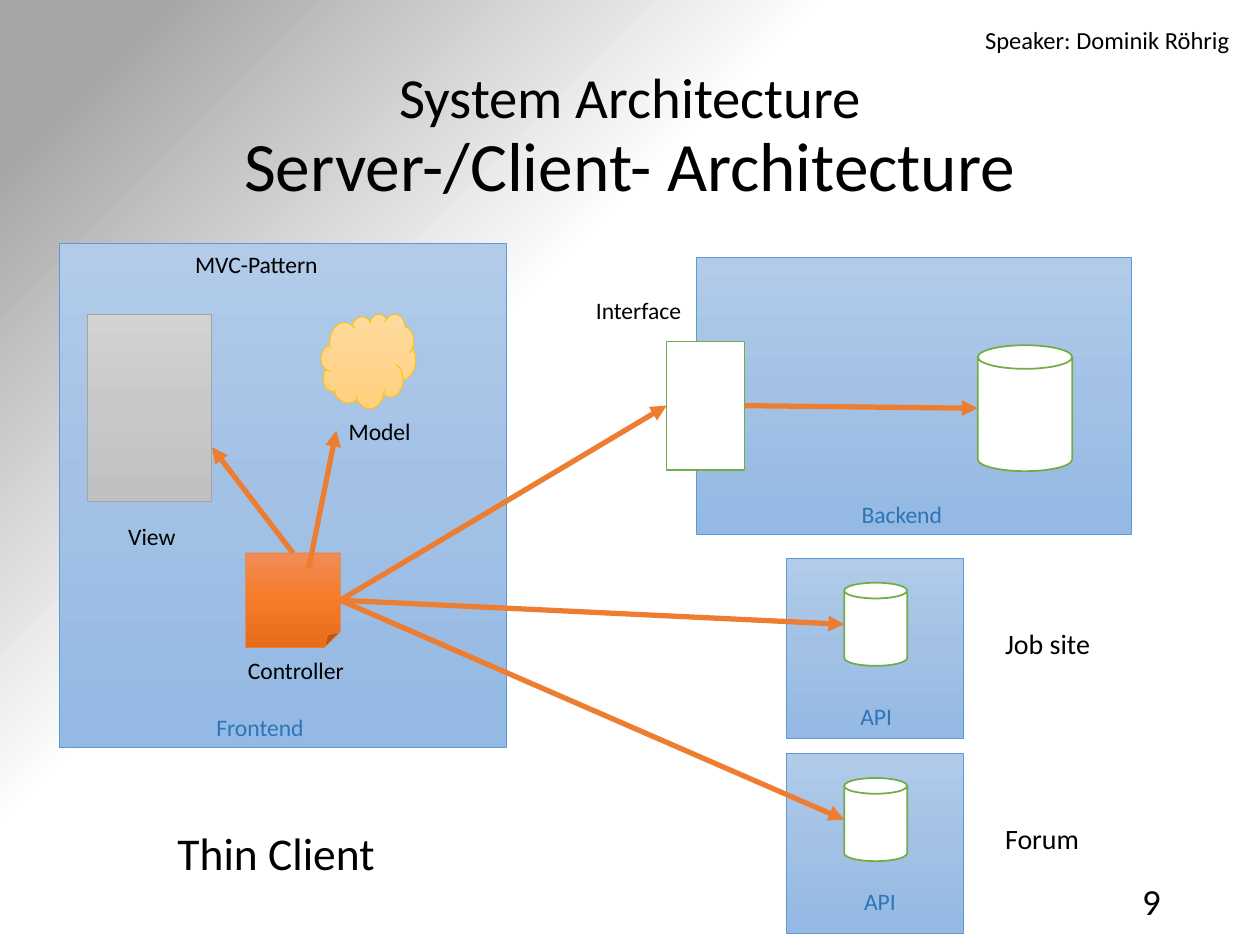
from lxml import etree
from pptx import Presentation
from pptx.dml.color import RGBColor
from pptx.enum import shapes, text
from pptx.oxml.ns import qn
from pptx.util import Pt

KIND = shapes.MSO_SHAPE
ALIGN = text.PP_ALIGN
MID = text.MSO_ANCHOR.MIDDLE
BLUE = [(0, "B1CBE9"), (50, "A3C1E5"), (100, "93B9E4")]
GRAY = [(0, "D2D2D2"), (50, "C8C8C8"), (100, "C0C0C0")]
GOLD = [(0, "FFDB9E"), (50, "FFD590"), (100, "FFD07C")]
RUST = [(0, "F18C57"), (50, "F67B28"), (100, "E56C19")]
INK, NAVY, GREEN, ORANGE = "000000", "2E75B6", "70AD47", "ED7D31"


def color(code):
    return RGBColor.from_string(code)


def blend(fill, root, stops):
    """Give a fill its gradient stops and return the gradient element."""
    fill.gradient()
    grad = root.find(".//" + qn("a:gradFill"))
    items = grad.find(qn("a:gsLst"))
    for old in list(items):
        items.remove(old)
    for pos, code in stops:
        stop = etree.SubElement(items, qn("a:gs"), pos=str(pos * 1000))
        etree.SubElement(stop, qn("a:srgbClr"), val=code)
    return grad


def paint(slide):
    """Background: round gradient from the lower right corner."""
    stops = [(0, "FFFFFF"), (62, "FFFFFF"), (93, "A5A5A5")]
    grad = blend(slide.background.fill, slide.element, stops)
    grad.remove(grad.find(qn("a:lin")))
    ring = etree.SubElement(grad, qn("a:path"))
    ring.set("path", "circle")
    etree.SubElement(ring, qn("a:fillToRect"), l="100000", t="100000")


def block(slide, kind, box, fill, line, width=0.5):
    shape = slide.shapes.add_shape(kind, *map(Pt, box))
    shape.shadow.inherit = False
    if isinstance(fill, str):
        shape.fill.solid()
        shape.fill.fore_color.rgb = color(fill)
    else:
        blend(shape.fill, shape.element, fill).find(qn("a:lin")).set("ang", "5400000")
    shape.line.color.rgb = color(line)
    shape.line.width = Pt(width)
    return shape


def label(slide, box, runs, code=INK, align=ALIGN.LEFT, wrap=True, mid=False, edge=False):
    """Text box; each (words, size) pair is one run on its own line."""
    frame = slide.shapes.add_textbox(*map(Pt, box)).text_frame
    frame.word_wrap = wrap
    if mid:
        frame.vertical_anchor = MID
    para = frame.paragraphs[0]
    para.alignment = align
    for num, (words, size) in enumerate(runs):
        if num:
            para.add_line_break()
        run = para.add_run()
        run.text = words
        run.font.name = "Calibri"
        run.font.size = Pt(size)
        run.font.color.rgb = color(code)
        if edge:
            line = etree.Element(qn("a:ln"), w="9525")
            solid = etree.SubElement(line, qn("a:solidFill"))
            etree.SubElement(solid, qn("a:srgbClr"), val="FFFFFF")
            run.font._element.insert(0, line)
    return para


def tag(slide, x, y, width, words, **style):
    return label(slide, (x, y, width, 23.8), [(words, 13.5)], **style)


def can(slide, box):
    """Database; returns the middle of its left side."""
    block(slide, KIND.CAN, box, "FFFFFF", GREEN, 1)
    return box[0], box[1] + box[3] / 2


def arrow(slide, start, end):
    """Arrow between points or (shape, side) pairs."""
    spots = [(0, 0) if hasattr(item[0], "shape_type") else item for item in (start, end)]
    (x1, y1), (x2, y2) = spots
    link = slide.shapes.add_connector(shapes.MSO_CONNECTOR.STRAIGHT, Pt(x1), Pt(y1), Pt(x2), Pt(y2))
    for item, join in ((start, link.begin_connect), (end, link.end_connect)):
        if hasattr(item[0], "shape_type"):
            join(*item)
    link.line.color.rgb = color(ORANGE)
    link.line.width = Pt(3)
    line = link.line._get_or_add_ln()
    etree.SubElement(line, qn("a:tailEnd"), type="triangle")
    etree.SubElement(link.element.spPr, qn("a:effectLst"))


def front(slide, box):
    """Frontend with the MVC parts; returns the controller."""
    x, y = box[:2]
    block(slide, KIND.RECTANGLE, box, BLUE, "5B9BD5")
    block(slide, KIND.RECTANGLE, (x + 16, y + 40.4, 71.3, 107.3), GRAY, "A5A5A5")
    block(slide, KIND.CLOUD, (x + 149.8, y + 40.4, 54, 54), GOLD, "FFC000")
    note = block(slide, KIND.FOLDED_CORNER, (x + 106.6, y + 177, 54, 54), RUST, ORANGE)
    tag(slide, x + 70.6, y, 154, "MVC-Pattern")
    tag(slide, x + 32.4, y + 155.5, 41.8, "View", wrap=False)
    tag(slide, x + 158.4, y + 95.7, 50.4, "Model", wrap=False)
    tag(slide, x + 100.8, y + 232.5, 70.6, "Controller", wrap=False)
    tag(slide, x + 82.8, y + 264.9, 103, "Frontend", code=NAVY, edge=True)
    arrow(slide, (note, 0), (x + 87.3, y + 116.6))
    arrow(slide, (x + 142.6, y + 185.7), (x + 158.4, y + 107.2))
    return note


def back(slide, box):
    """Backend with database; returns the interface."""
    x, y = box[:2]
    block(slide, KIND.RECTANGLE, box, BLUE, "5B9BD5")
    gate = block(slide, KIND.RECTANGLE, (x - 17.3, y + 48.2, 44.6, 73.4), "FFFFFF", GREEN, 1)
    store = can(slide, (x + 160.5, y + 50.4, 54, 72))
    tag(slide, x - 64.8, y + 18.7, 154, "Interface")
    tag(slide, x + 87.1, y + 135.4, 103, "Backend", code=NAVY, edge=True)
    arrow(slide, (gate, 3), store)
    return gate


def service(slide, box, name, shift, drop):
    """Outside API; returns the arrow's target on its database."""
    x, y = box[:2]
    block(slide, KIND.RECTANGLE, box, BLUE, "5B9BD5")
    store = can(slide, (x + 33.1, y + 14, 36, 47.5))
    tag(slide, x + shift, y + drop, 38.2, "API", code=NAVY, edge=True)
    label(slide, (x + 118, y + 35.3, 98.6, 26.6), [(name, 16)])
    return store


def frame(slide, box):
    """Title, speaker, caption and page number."""
    wide, high = box[2:]
    title = [("System Architecture", 32.4), ("Server-/Client- Architecture", 39.6)]
    para = label(slide, (49.5, 39.6, wide - 99, 78.5), title, align=ALIGN.CENTER, mid=True)
    para.line_spacing = 0.9
    label(slide, (wide - 164.2, 10.8, 173.5, 24.5), [("Speaker: Dominik Röhrig", 14)])
    label(slide, (94.3, high - 72, 164.2, 38.9), [("Thin Client", 26)])
    label(slide, (508.3, high - 39.6, 162, 28.8), [("9", 21)], align=ALIGN.RIGHT, mid=True)


def main():
    deck = Presentation()
    deck.slide_width, deck.slide_height = Pt(720), Pt(540)
    slide = deck.slides.add_slide(deck.slide_layouts[6])
    paint(slide)
    frame(slide, (0, 0, 720, 540))
    gate = back(slide, (398.2, 146.9, 248.4, 158.4))
    stores = [
        service(slide, (449.3, 319, 101.5, 103), "Job site", 35.3, 78.5),
        service(slide, (449.3, 430.6, 101.5, 103), "Forum", 37.4, 72.7),
    ]
    note = front(slide, (33.8, 139, 255.4, 288))
    # Calls from the controller
    for goal in [(gate, 1)] + stores:
        arrow(slide, (note, 3), goal)
    deck.save("out.pptx")


if __name__ == "__main__":
    main()
